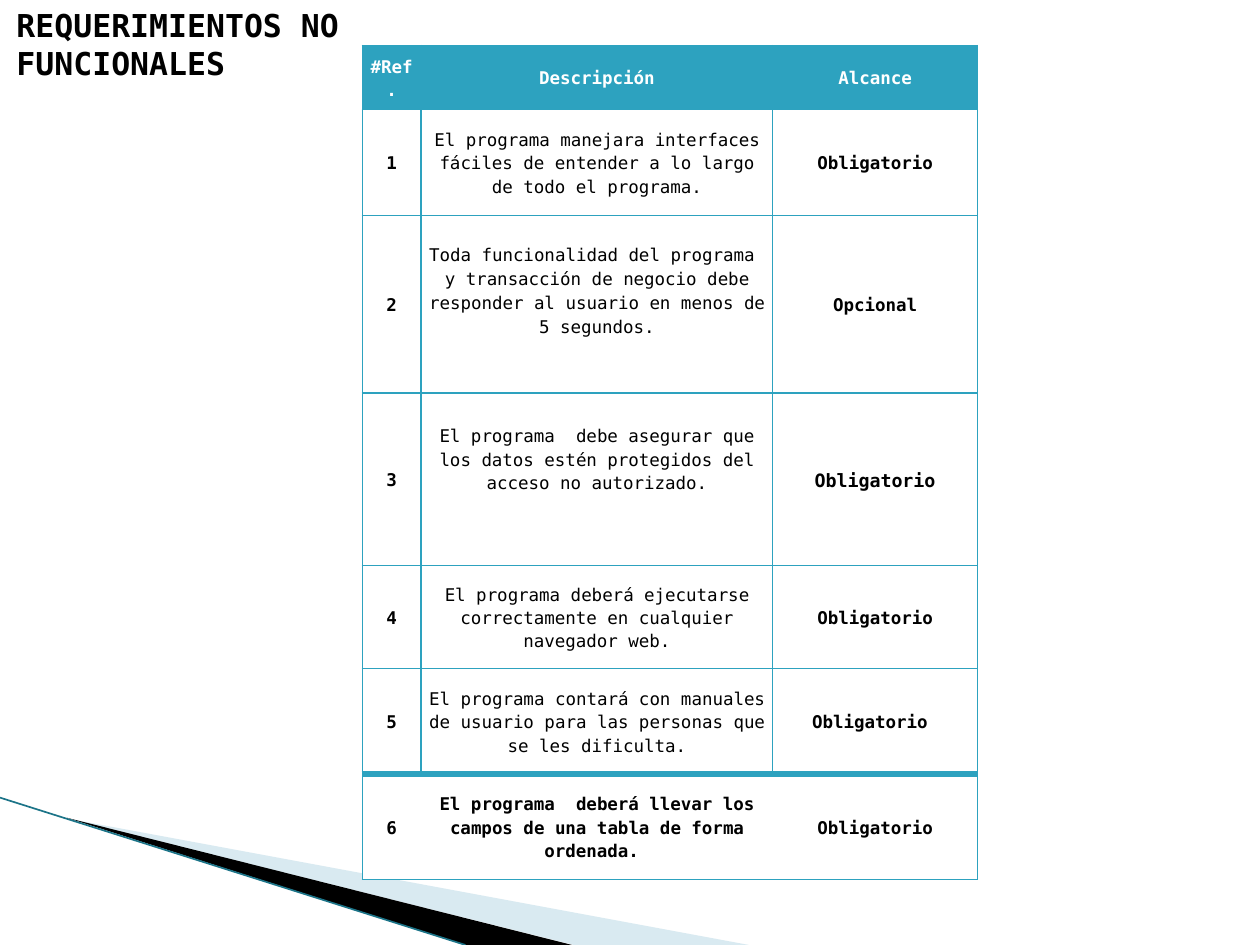
from lxml.etree import SubElement
from pptx import Presentation
from pptx.dml.color import RGBColor
from pptx.enum.shapes import MSO_CONNECTOR
from pptx.enum.text import MSO_ANCHOR, PP_ALIGN
from pptx.oxml.ns import qn
from pptx.util import Pt

FONT = "DejaVu Sans Mono"
TEAL = "2DA2BF"


def color(value):
    return RGBColor.from_string(value)


def add_border(cell, side, width):
    line = SubElement(cell._tc.get_or_add_tcPr(), qn(f"a:ln{side}"), w=str(Pt(width)))
    if width:
        fill = SubElement(line, qn("a:solidFill"))
        SubElement(fill, qn("a:srgbClr"), val=TEAL)
    else:
        SubElement(line, qn("a:noFill"))


deck = Presentation()
deck.slide_width, deck.slide_height = Pt(720), Pt(540)
page = deck.slides.add_slide(deck.slide_layouts[5])

wedges = [
    ("A0CBDC", 40, [(39.6, 468), (428, 540), (328, 540)]),
    ("000000", 100, [(38.2, 467.3), (327, 540), (266, 540)]),
]
for fill_color, opacity, points in wedges:
    corners = [(Pt(x), Pt(y)) for x, y in points]
    builder = page.shapes.build_freeform(*corners[0])
    builder.add_line_segments(corners[1:], close=True)
    wedge = builder.convert_to_shape()
    wedge.shadow.inherit = False
    wedge.line.fill.background()
    wedge.fill.solid()
    wedge.fill.fore_color.rgb = color(fill_color)
    tint = wedge._element.spPr.find(qn("a:solidFill"))[0]
    SubElement(tint, qn("a:alpha"), val=str(opacity * 1000))

edge = page.shapes.add_connector(MSO_CONNECTOR.STRAIGHT, Pt(0), Pt(455.8), Pt(266), Pt(540))
edge.line.color.rgb = color("1C7488")
edge.line.width = Pt(0.95)
SubElement(edge._element.spPr, qn("a:effectLst"))

requirements = [
    ("#Ref.", "Descripción", "Alcance"),
    ("1", "El programa manejara interfaces fáciles de entender a lo largo de todo el programa.", "Obligatorio"),
    ("2", "Toda funcionalidad del programa  y transacción de negocio debe responder al usuario "
          "en menos de 5 segundos.", "Opcional"),
    ("3", "El programa  debe asegurar que los datos estén protegidos del acceso no autorizado.", "Obligatorio"),
    ("4", "El programa deberá ejecutarse correctamente en cualquier navegador web.", "Obligatorio"),
    ("5", "El programa contará con manuales de usuario para las personas que se les dificulta.", "Obligatorio "),
    ("6", "El programa  deberá llevar los campos de una tabla de forma ordenada. ", "Obligatorio"),
]
column_widths = [33.6, 201, 117]
row_heights = [36.6, 60.6, 101.5, 98.5, 59, 60.2, 60.6]
bottom_margins = {(2, 1): 16.5, (3, 1): 23.5}
last_row = len(requirements) - 1

frame = page.shapes.add_table(len(requirements), 3, Pt(207), Pt(25.9),
                              Pt(sum(column_widths)), Pt(sum(row_heights)))
table = frame.table
table.horz_banding = False
for column, width in zip(table.columns, column_widths):
    column.width = Pt(width)

for r, requirement in enumerate(requirements):
    table.rows[r].height = Pt(row_heights[r])
    for c, text in enumerate(requirement):
        cell = table.cell(r, c)
        cell.margin_left = cell.margin_right = Pt(3.6)
        cell.margin_top = Pt(0)
        cell.margin_bottom = Pt(bottom_margins.get((r, c), 0))
        cell.vertical_anchor = MSO_ANCHOR.MIDDLE
        inner = 0 if r == last_row else 0.75
        add_border(cell, "L", 0.75 if c == 0 else inner)
        add_border(cell, "R", 0.75 if c == 2 else inner)
        add_border(cell, "T", 4 if r == last_row else 0.75)
        add_border(cell, "B", 4 if r == last_row - 1 else 0.75)
        cell.fill.solid()
        cell.fill.fore_color.rgb = color(TEAL if r == 0 else "FFFFFF")
        cell.text_frame.text = text
        para = cell.text_frame.paragraphs[0]
        para.alignment = PP_ALIGN.CENTER
        para.line_spacing = Pt(13.8) if (r, c) == (2, 1) else 1.15
        para.space_after = Pt(10)
        span = para.runs[0]
        span.font.name = FONT
        span.font.size = Pt(10.5 if (r, c) == (3, 2) else 10)
        span.font.bold = c != 1 or r in (0, last_row)
        span.font.color.rgb = color("FFFFFF" if r == 0 else "000000")

title = page.shapes.title
title.left, title.top, title.width, title.height = Pt(2.2), Pt(0), Pt(296), Pt(50)
title.text_frame.text = "REQUERIMIENTOS NO FUNCIONALES"
title.text_frame.word_wrap = True
title.text_frame.vertical_anchor = MSO_ANCHOR.TOP
para = title.text_frame.paragraphs[0]
para.alignment = PP_ALIGN.LEFT
span = para.runs[0]
span.font.name = FONT
span.font.size = Pt(18)
span.font.bold = True
span.font.color.rgb = color("000000")

deck.save("out.pptx")
